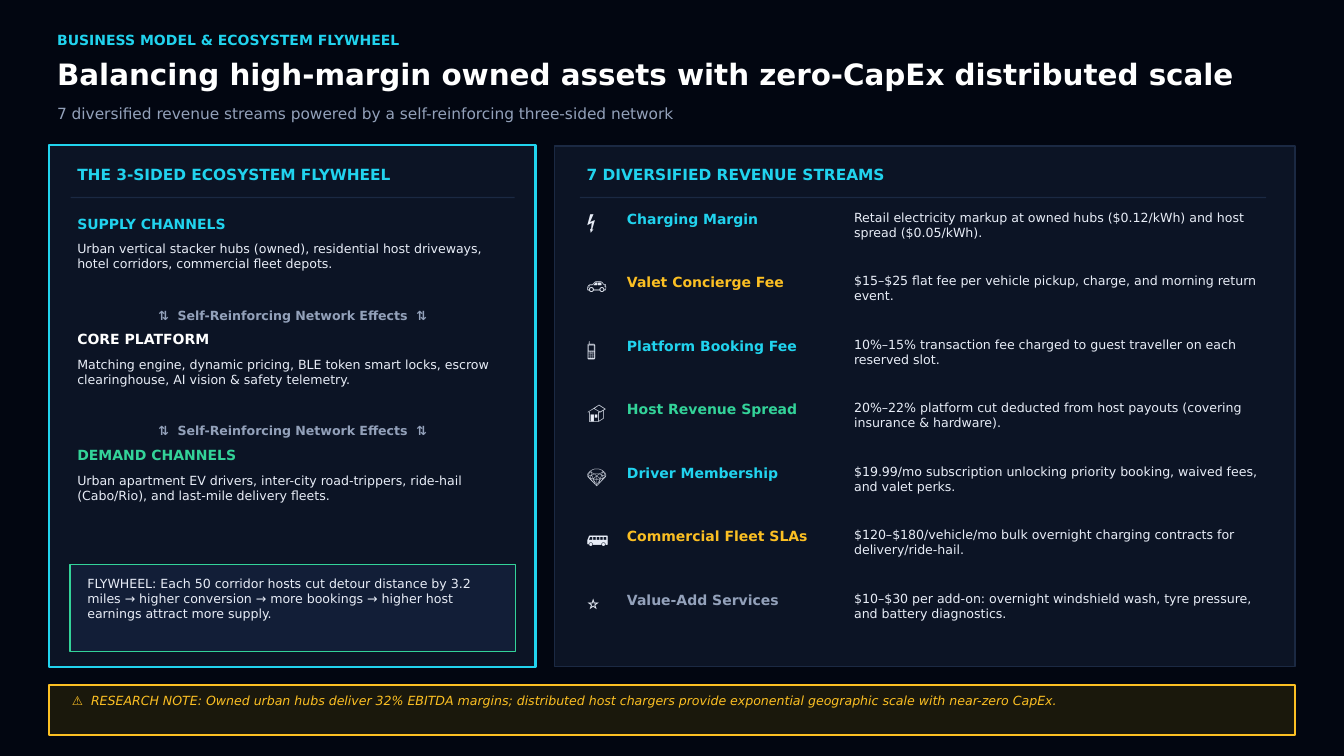
from pptx import Presentation
from pptx.dml.color import RGBColor
from pptx.enum.shapes import MSO_SHAPE as Shape
from pptx.enum.text import MSO_ANCHOR as Anchor, MSO_AUTO_SIZE as AutoSize, PP_ALIGN as Align
from pptx.util import Inches, Pt

FONT = "DejaVu Sans"
BACKGROUND, PANEL, CALLOUT, NOTE = "020611", "0C1425", "121E37", "1A180C"
CYAN, GREEN, AMBER, WHITE = "21D3EE", "33D399", "FBBF23", "FFFFFF"
BODY, MUTED, RULE = "E8EDF7", "93A1BA", "1B2943"

CHANNELS = [
    ("SUPPLY CHANNELS", CYAN,
     "Urban vertical stacker hubs (owned), residential host driveways, "
     "hotel corridors, commercial fleet depots."),
    ("CORE PLATFORM", WHITE,
     "Matching engine, dynamic pricing, BLE token smart locks, escrow "
     "clearinghouse, AI vision & safety telemetry."),
    ("DEMAND CHANNELS", GREEN,
     "Urban apartment EV drivers, inter-city road-trippers, ride-hail "
     "(Cabo/Rio), and last-mile delivery fleets."),
]

STREAMS = [
    ("⚡", "Arial", "Charging Margin", CYAN,
     "Retail electricity markup at owned hubs ($0.12/kWh) and host spread ($0.05/kWh)."),
    ("🚗", "Arial", "Valet Concierge Fee", AMBER,
     "$15–$25 flat fee per vehicle pickup, charge, and morning return event."),
    ("📱", "Arial", "Platform Booking Fee", CYAN,
     "10%–15% transaction fee charged to guest traveller on each reserved slot."),
    ("🏠", "Arial", "Host Revenue Spread", GREEN,
     "20%–22% platform cut deducted from host payouts (covering insurance & hardware)."),
    ("💎", "Arial", "Driver Membership", CYAN,
     "$19.99/mo subscription unlocking priority booking, waived fees, and valet perks."),
    ("🚌", "Arial", "Commercial Fleet SLAs", AMBER,
     "$120–$180/vehicle/mo bulk overnight charging contracts for delivery/ride-hail."),
    ("⭐", FONT, "Value-Add Services", MUTED,
     "$10–$30 per add-on: overnight windshield wash, tyre pressure, and battery diagnostics."),
]


def color(value):
    return RGBColor.from_string(value)


def write(shape, text, size, fill, bold=False, italic=False, font=FONT, align=Align.LEFT):
    """Fill a shape with one paragraph, without insets, at 1.2 line pitch."""
    frame = shape.text_frame
    frame.text = text
    frame.word_wrap = True
    frame.auto_size = AutoSize.NONE
    frame.vertical_anchor = Anchor.TOP
    frame.margin_left = frame.margin_top = frame.margin_right = frame.margin_bottom = 0
    paragraph = frame.paragraphs[0]
    paragraph.alignment = align
    paragraph.line_spacing = Pt(size * 1.2)
    paragraph.space_before = Pt(0)
    for run in paragraph.runs:
        run.font.name = font
        run.font.size = Pt(size)
        run.font.bold = bold
        run.font.italic = italic
        run.font.color.rgb = color(fill)


def add_text(slide, left, top, width, height, text, size, fill, **style):
    box = slide.shapes.add_textbox(Inches(left), Inches(top), Inches(width), Inches(height))
    write(box, text, size, fill, **style)


def add_box(slide, left, top, width, height, fill, line=None, weight=1.5):
    shape = slide.shapes.add_shape(
        Shape.RECTANGLE, Inches(left), Inches(top), Inches(width), Inches(height))
    shape.shadow.inherit = False
    shape.fill.solid()
    shape.fill.fore_color.rgb = color(fill)
    if line:
        shape.line.color.rgb = color(line)
        shape.line.width = Pt(weight)
    else:
        shape.line.fill.background()


def add_panel_heading(slide, left, width, text):
    add_text(slide, left + 0.1, 2.45, width - 0.2, 0.36, text, 16.5, CYAN, bold=True)
    add_box(slide, left, 2.93, width, 0.02, RULE)


def add_header(slide):
    add_text(slide, 0.85, 0.47, 17.82, 0.32, "BUSINESS MODEL & ECOSYSTEM FLYWHEEL",
             15, CYAN, bold=True)
    title = slide.shapes.title
    title.left, title.top = Inches(0.85), Inches(0.83)
    title.width, title.height = Inches(18.31), Inches(0.62)
    write(title, "Balancing high-margin owned assets with zero-CapEx distributed scale",
          31.5, WHITE, bold=True)
    add_text(slide, 0.85, 1.55, 18.31, 0.38,
             "7 diversified revenue streams powered by a self-reinforcing three-sided network",
             16.5, MUTED)


def add_flywheel(slide):
    add_box(slide, 0.73, 2.16, 7.24, 7.76, PANEL, CYAN, 2.25)
    add_panel_heading(slide, 1.05, 6.61, "THE 3-SIDED ECOSYSTEM FLYWHEEL")
    left, width = 1.15, 6.41
    for index, (name, fill, detail) in enumerate(CHANNELS):
        top = 3.2 + index * 1.725
        if index:
            add_text(slide, left, top - 0.35, width, 0.32,
                     "⇅  Self-Reinforcing Network Effects  ⇅", 13.5, MUTED,
                     bold=True, align=Align.CENTER)
        add_text(slide, left, top, width, 0.32, name, 15, fill, bold=True)
        add_text(slide, left, top + 0.38, width, 0.9, detail, 13.5, BODY)

    # Callout under the channels
    add_box(slide, 1.04, 8.4, 6.63, 1.3, CALLOUT, GREEN)
    add_text(slide, 1.3, 8.57, 6.11, 0.96,
             "FLYWHEEL: Each 50 corridor hosts cut detour distance by 3.2 miles → higher "
             "conversion → more bookings → higher host earnings attract more supply.",
             13.5, BODY)


def add_streams(slide):
    add_box(slide, 8.25, 2.17, 11.02, 7.75, PANEL, RULE)
    add_panel_heading(slide, 8.63, 10.21, "7 DIVERSIFIED REVENUE STREAMS")
    for index, (icon, icon_font, name, fill, detail) in enumerate(STREAMS):
        top = 3.12 + index * 0.945
        add_text(slide, 8.73, top, 0.33, 0.46, icon, 21, BODY, font=icon_font)
        add_text(slide, 9.33, top + 0.01, 3.11, 0.32, name, 15, fill, bold=True)
        add_text(slide, 12.71, top, 6.11, 0.81, detail, 13.5, BODY)


def add_research_note(slide):
    add_box(slide, 0.73, 10.19, 18.54, 0.75, NOTE, AMBER, 2.25)
    add_text(slide, 1.07, 10.31, 17.82, 0.51,
             "⚠  RESEARCH NOTE: Owned urban hubs deliver 32% EBITDA margins; distributed host "
             "chargers provide exponential geographic scale with near-zero CapEx.",
             13.5, AMBER, italic=True)


def main():
    presentation = Presentation()
    presentation.slide_width, presentation.slide_height = Inches(20), Inches(11.25)
    slide = presentation.slides.add_slide(presentation.slide_layouts[5])  # Title Only
    slide.background.fill.solid()
    slide.background.fill.fore_color.rgb = color(BACKGROUND)
    add_header(slide)
    add_flywheel(slide)
    add_streams(slide)
    add_research_note(slide)
    presentation.save("out.pptx")


if __name__ == "__main__":
    main()
